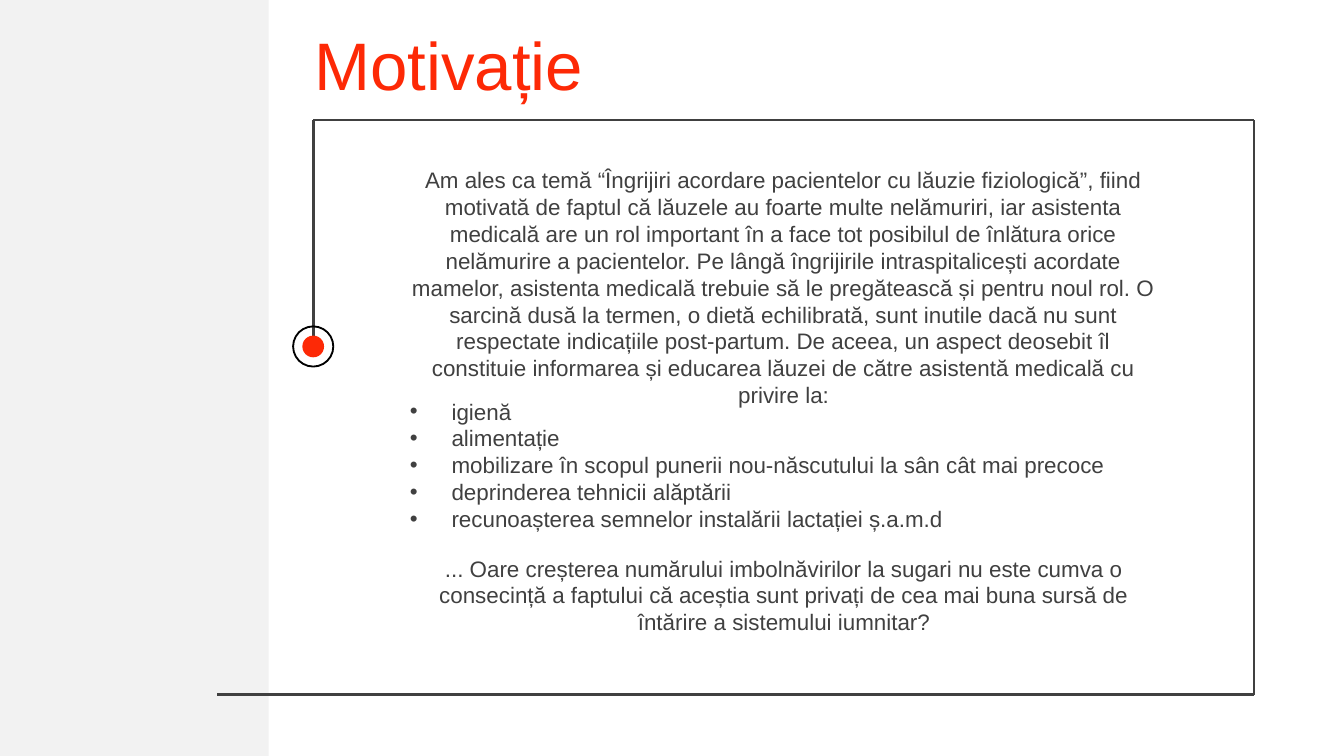
"""Build the "Motivație" slide: a framed text with a bullet list beside a grey panel."""
import lxml.etree
import pptx
import pptx.dml.color
import pptx.enum.shapes
import pptx.enum.text
import pptx.oxml.ns
import pptx.util

Cm = pptx.util.Cm
Align = pptx.enum.text.PP_ALIGN
Anchor = pptx.enum.text.MSO_ANCHOR
Shape = pptx.enum.shapes.MSO_SHAPE

COLORS = {"accent": "FD2906", "text": "404040", "panel": "F2F2F2", "ring": "000000"}

INTRO = (
    "Am ales ca temă “Îngrijiri acordare pacientelor cu lăuzie fiziologică”, fiind motivată "
    "de faptul că lăuzele au foarte multe nelămuriri, iar asistenta medicală are un rol "
    "important în a face tot posibilul de înlătura orice nelămurire a pacientelor. Pe lângă "
    "îngrijirile intraspitalicești acordate mamelor, asistenta medicală trebuie să le "
    "pregătească și pentru noul rol. O sarcină dusă la termen, o dietă echilibrată, sunt "
    "inutile dacă nu sunt respectate indicațiile post-partum. De aceea, un aspect deosebit îl "
    "constituie informarea și educarea lăuzei de către asistentă medicală cu privire la:"
)
TOPICS = [
    "igienă",
    "alimentație",
    "mobilizare în scopul punerii nou-născutului la sân cât mai precoce",
    "deprinderea tehnicii alăptării",
    "recunoașterea semnelor instalării lactației ș.a.m.d",
]
QUESTION = (
    "... Oare creșterea numărului imbolnăvirilor la sugari nu este cumva o consecință a "
    "faptului că aceștia sunt privați de cea mai buna sursă de întărire a sistemului iumnitar?"
)


class SlideBuilder:
    """Hold the style and the current slide."""

    font = "Arial"
    text_size = 12
    title_size = 36
    line_width = pptx.util.Pt(1.5)

    def __init__(self, page):
        self.page = page

    def color(self, name):
        return pptx.dml.color.RGBColor.from_string(COLORS[name])

    def place(self, box, left, top, width, height):
        box.left, box.top, box.width, box.height = map(Cm, (left, top, width, height))

    def fill_text(self, box, lines, align, size=text_size, color="text", anchor=Anchor.TOP):
        frame = box.text_frame
        frame.text = "\n".join(lines)
        frame.word_wrap = True
        frame.auto_size = pptx.enum.text.MSO_AUTO_SIZE.NONE
        frame.vertical_anchor = anchor
        for para in frame.paragraphs:
            para.alignment = align
            para.space_before = pptx.util.Pt(0)
            for span in para.runs:
                span.font.name = self.font
                span.font.size = pptx.util.Pt(size)
                span.font.color.rgb = self.color(color)

    def title(self, text, *area):
        box = self.page.shapes.title
        self.place(box, *area)
        self.fill_text(box, [text], Align.LEFT, self.title_size, "accent", Anchor.MIDDLE)

    def bullets(self, lines, *area):
        box = self.page.placeholders[1]
        self.place(box, *area)
        self.fill_text(box, lines, Align.LEFT)
        for para in box.text_frame.paragraphs:
            props = para._p.get_or_add_pPr()
            props.set("marL", str(Cm(0.79)))
            props.set("indent", str(Cm(-0.79)))
            qn = pptx.oxml.ns.qn
            lxml.etree.SubElement(props, qn("a:buFont")).set("typeface", self.font)
            lxml.etree.SubElement(props, qn("a:buChar")).set("char", "•")

    def paragraph(self, text, *area):
        box = self.page.shapes.add_textbox(*map(Cm, area))
        self.fill_text(box, [text], Align.CENTER)

    def shape(self, kind, *area, fill=None, line=None):
        box = self.page.shapes.add_shape(kind, *map(Cm, area))
        box.shadow.inherit = False
        if fill:
            box.fill.solid()
            box.fill.fore_color.rgb = self.color(fill)
        else:
            box.fill.background()
        if line:
            box.line.color.rgb = self.color(line)
            box.line.width = pptx.util.Pt(1)
        else:
            box.line.fill.background()

    def circle(self, x, y, size, **style):
        self.shape(Shape.OVAL, x - size / 2, y - size / 2, size, size, **style)

    def line(self, start, end):
        straight = pptx.enum.shapes.MSO_CONNECTOR.STRAIGHT
        edge = self.page.shapes.add_connector(straight, *map(Cm, start + end))
        edge.line.color.rgb = self.color("text")
        edge.line.width = self.line_width
        props = edge._element.spPr
        lxml.etree.SubElement(props, pptx.oxml.ns.qn("a:effectLst"))


def main():
    deck = pptx.Presentation()
    deck.slide_width, deck.slide_height = Cm(25.4), Cm(14.29)
    slide = SlideBuilder(deck.slides.add_slide(deck.slide_layouts[1]))

    slide.shape(Shape.RECTANGLE, -0.03, 0, 5.11, 14.29, fill="panel")
    slide.title("Motivație", 5.69, 0.4, 19.2, 1.6)

    left, right, top, bottom = 5.92, 23.7, 2.27, 13.13
    marker = 6.55
    corners = [(left, marker - 0.2), (left, top), (right, top), (right, bottom), (4.1, bottom)]
    for start, end in zip(corners, corners[1:]):
        slide.line(start, end)
    slide.circle(left, marker, 0.41, fill="accent")
    slide.circle(left, marker, 0.76, line="ring")

    slide.paragraph(INTRO, 7.42, 3.02, 14.78, 4.37)
    slide.bullets(TOPICS, 7.49, 7.39, 15.6, 2.82)
    slide.paragraph(QUESTION, 7.62, 10.36, 14.4, 1.8)
    deck.save("out.pptx")


if __name__ == "__main__":
    main()
